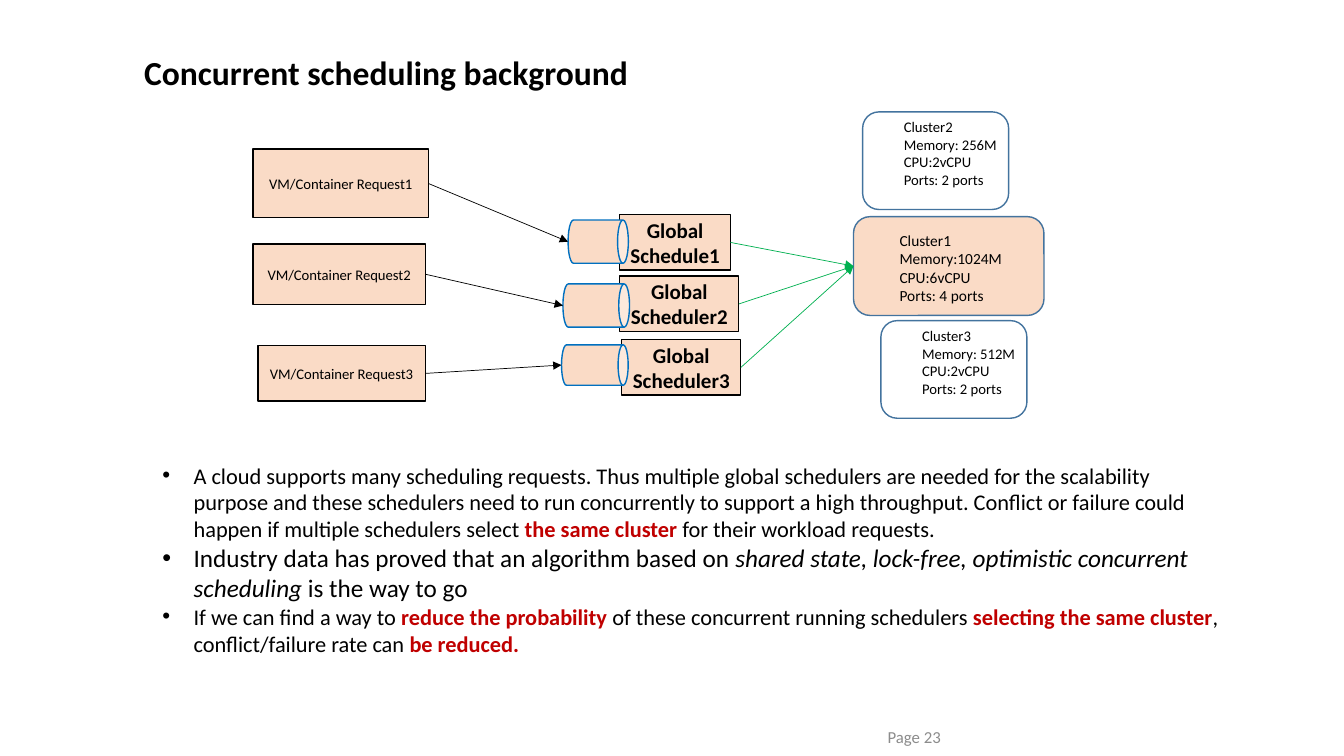
import pptx
import pptx.util
import pptx.dml.color
import pptx.enum.shapes
import pptx.enum.text
from lxml import etree
from pptx.util import Cm, Pt

SHAPES = pptx.enum.shapes.MSO_SHAPE
ANCHOR = pptx.enum.text.MSO_ANCHOR
ALIGN = pptx.enum.text.PP_ALIGN

# Content: frames are (left, top, width, height) in centimetres
TITLE = ("Concurrent scheduling background", (3.38, 1.3, 23.72, 1.96))
PAGE = ("Page 23", (22.12, 17.93, 5.82, 1.27))
REQUESTS = [
    ("VM/Container Request1", (6.38, 3.76, 4.42, 1.73)),
    ("VM/Container Request2", (6.38, 6.15, 4.34, 1.52)),
    ("VM/Container Request3", (6.5, 8.71, 4.22, 1.4)),
]
SCHEDULERS = [
    ("Global Schedule1", (15.62, 5.41, 2.79, 1.4)),
    ("Global Scheduler2", (15.62, 6.96, 3, 1.4)),
    ("Global Scheduler3", (15.67, 8.56, 3, 1.4)),
]
# Queues are upright cans, turned by a quarter
QUEUES = [(14.53, 5.33, 1.09, 1.52), (14.48, 6.86, 1.09, 1.68), (14.48, 8.36, 1.02, 1.68)]
# Name, details, frame, fill, label frame relative to the cluster, label size
CLUSTERS = [
    (["Cluster2", "Memory: 256M", "CPU:2vCPU", "Ports: 2 ports"],
     (21.74, 2.82, 3.68, 2.46), "white", (0.79, 0.03, 2.9, 2.06), "small"),
    (["Cluster1", "Memory:1024M", "CPU:6vCPU", "Ports: 4 ports"],
     (21.51, 5.46, 4.8, 2.49), "peach", (0.91, 0.23, 3.18, 2.13), "label"),
    (["Cluster3", "Memory: 512M", "CPU:2vCPU", "Ports: 2 ports"],
     (22.2, 8.08, 3.68, 2.46), "white", (0.79, 0.03, 2.9, 2.06), "small"),
]
CHOSEN_CLUSTER = 1
BODY_FRAME = (3.84, 11.51, 27.36, 5.97)
# Bullets: size name, then (text, style) runs
BULLETS = [
    ("body", [
        ("A cloud supports many scheduling requests. Thus multiple global schedulers are "
         "needed for the scalability purpose and these schedulers need to run concurrently "
         "to support a high throughput. Conflict or failure could happen if multiple "
         "schedulers select ", "plain"),
        ("the same cluster ", "strong"),
        ("for their workload requests.", "plain")]),
    ("body_large", [
        ("Industry data has proved that an algorithm based on ", "plain"),
        ("shared state, lock-free, optimistic concurrent scheduling ", "italic"),
        ("is the way to go", "plain")]),
    ("body", [
        ("If we can find a way to ", "plain"),
        ("reduce the probability ", "strong"),
        ("of these concurrent running schedulers ", "plain"),
        ("selecting the same cluster", "strong"),
        (", conflict/failure rate can ", "plain"),
        ("be reduced.", "strong")]),
]

THEME = {
    "font": "Calibri",
    "colours": {"black": "000000", "white": "FFFFFF", "peach": "FADBC6", "red": "C00000",
                "green": "00B050", "blue": "0070C0", "steel": "43739E", "grey": "8C8C8C"},
    "sizes": {"title": 24, "body_large": 18, "body": 16, "scheduler": 15, "page": 12,
              "label": 11, "small": 10.5},
    "border": 1,
    "arrow": 0.5,
}


def colour(name):
    return pptx.dml.color.RGBColor.from_string(THEME["colours"][name])


def lengths(frame):
    return [Cm(value) for value in frame]


def add_run(paragraph, text, size, ink="black", bold=False, italic=False):
    run = paragraph.add_run()
    run.text = text
    run.font.name = THEME["font"]
    run.font.size = Pt(THEME["sizes"][size])
    run.font.color.rgb = colour(ink)
    run.font.bold = bold
    run.font.italic = italic


def add_box(slide, kind, frame, fill, line=None):
    shape = slide.shapes.add_shape(kind, *lengths(frame))
    shape.shadow.inherit = False
    shape.fill.solid()
    shape.fill.fore_color.rgb = colour(fill)
    if line:
        shape.line.color.rgb = colour(line)
        shape.line.width = Pt(THEME["border"])
    else:
        shape.line.fill.background()
    return shape


def add_named_box(slide, text, frame, size, bold=False):
    shape = add_box(slide, SHAPES.RECTANGLE, frame, "peach", "black")
    text_frame = shape.text_frame
    text_frame.word_wrap = True
    text_frame.vertical_anchor = ANCHOR.MIDDLE
    text_frame.margin_left = text_frame.margin_right = Cm(0.1)
    paragraph = text_frame.paragraphs[0]
    paragraph.alignment = ALIGN.CENTER
    add_run(paragraph, text, size, bold=bold)
    return shape


def add_text(slide, lines, frame, size, wrap=True, **style):
    text_frame = slide.shapes.add_textbox(*lengths(frame)).text_frame
    text_frame.word_wrap = wrap
    for index, line in enumerate(lines):
        paragraph = text_frame.add_paragraph() if index else text_frame.paragraphs[0]
        add_run(paragraph, line, size, **style)
    return text_frame


def add_arrow(slide, source, ink, end=(0, 0), target=None):
    connector = slide.shapes.add_connector(
        pptx.enum.shapes.MSO_CONNECTOR.STRAIGHT, 0, 0, *lengths(end))
    connector.begin_connect(source, 3)
    if target is not None:
        connector.end_connect(target, 1)
    connector.line.color.rgb = colour(ink)
    connector.line.width = Pt(THEME["arrow"])
    tail = etree.SubElement(connector.line._get_or_add_ln(), pptx.oxml.ns.qn("a:tailEnd"))
    tail.set("type", "triangle")
    etree.SubElement(connector._element.spPr, pptx.oxml.ns.qn("a:effectLst"))


def add_bullets(slide):
    styles = {"plain": {}, "strong": {"ink": "red", "bold": True}, "italic": {"italic": True}}
    text_frame = add_box(slide, SHAPES.RECTANGLE, BODY_FRAME, "white").text_frame
    text_frame.word_wrap = True
    text_frame.vertical_anchor = ANCHOR.TOP
    for index, (size, runs) in enumerate(BULLETS):
        paragraph = text_frame.add_paragraph() if index else text_frame.paragraphs[0]
        paragraph.alignment = ALIGN.LEFT
        properties = paragraph._p.get_or_add_pPr()
        properties.set("marL", str(Cm(0.79)))
        properties.set("indent", str(-Cm(0.79)))
        font = etree.SubElement(properties, pptx.oxml.ns.qn("a:buFont"))
        font.set("typeface", "Arial")
        bullet = etree.SubElement(properties, pptx.oxml.ns.qn("a:buChar"))
        bullet.set("char", "•")
        for text, style in runs:
            add_run(paragraph, text, size, **styles[style])


def main():
    presentation = pptx.Presentation()
    presentation.slide_width, presentation.slide_height = Cm(33.87), Cm(19.05)
    slide = presentation.slides.add_slide(presentation.slide_layouts[6])

    # Title, page number and body text
    title = add_text(slide, [TITLE[0]], TITLE[1], "title", bold=True)
    title.paragraphs[0].line_spacing = 0.9
    page = add_text(slide, [PAGE[0]], PAGE[1], "page", ink="grey")
    page.vertical_anchor = ANCHOR.MIDDLE
    add_bullets(slide)

    # Requests, schedulers and their queues
    requests = [add_named_box(slide, text, frame, "small") for text, frame in REQUESTS]
    schedulers = [add_named_box(slide, text, frame, "scheduler", bold=True)
                  for text, frame in SCHEDULERS]
    for request, frame in zip(requests, QUEUES):
        add_box(slide, SHAPES.CAN, frame, "peach", "blue").rotation = 90
        left, top, width, height = frame
        entry = (left + width / 2 - height / 2, top + height / 2)
        add_arrow(slide, request, "black", end=entry)

    # Clusters with their labels
    clusters = []
    for lines, frame, fill, label, size in CLUSTERS:
        clusters.append(add_box(slide, SHAPES.ROUNDED_RECTANGLE, frame, fill, "steel"))
        label_frame = (frame[0] + label[0], frame[1] + label[1], *label[2:])
        add_text(slide, lines, label_frame, size, wrap=False)

    # Every scheduler picks the same cluster
    for scheduler in schedulers:
        add_arrow(slide, scheduler, "green", target=clusters[CHOSEN_CLUSTER])

    presentation.save("out.pptx")


if __name__ == "__main__":
    main()
